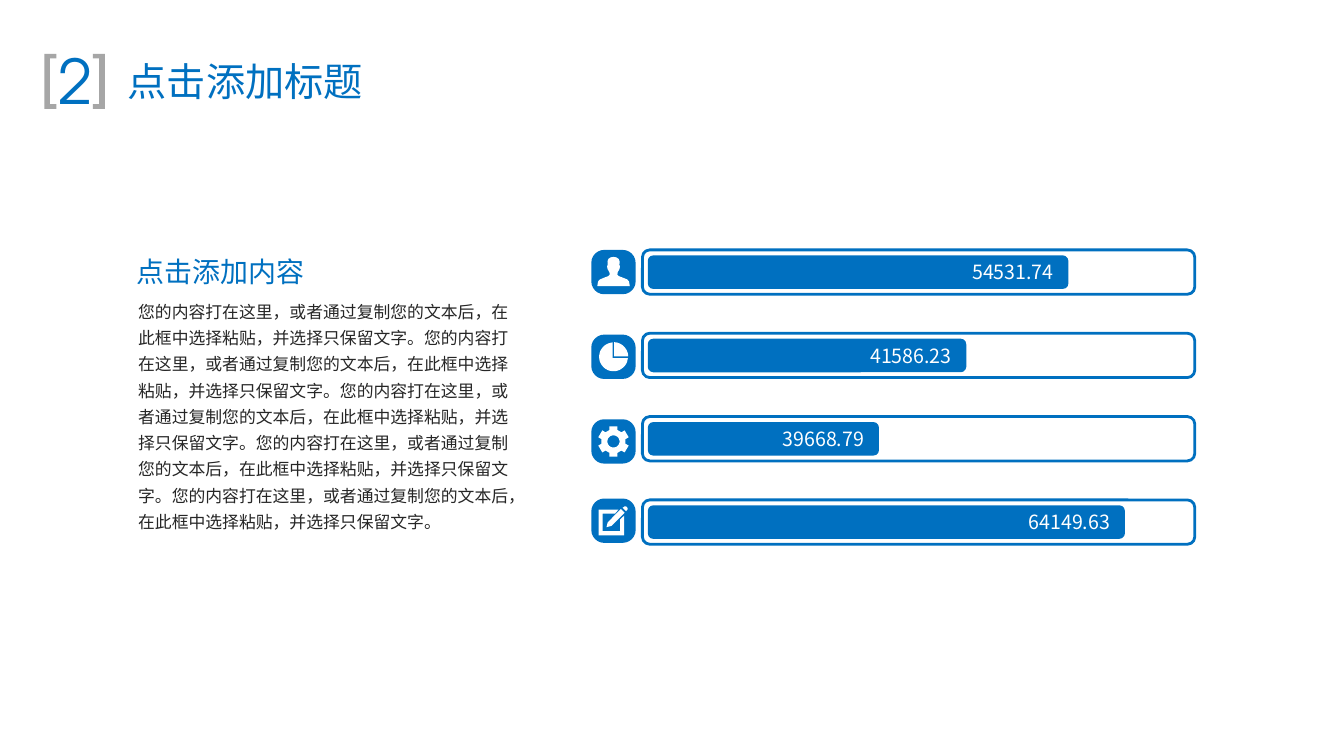
from math import cos, pi, sin

from lxml import etree
from pptx import Presentation, util as u
from pptx.dml.color import RGBColor
from pptx.enum import shapes, text
from pptx.oxml.ns import qn

SLIDE_WIDTH = 10
SLIDE_HEIGHT = SLIDE_WIDTH * 9 / 16
COLORS = {"blue": "0070C0", "gray": "A6A6A6", "white": "FFFFFF", "ink": "262626"}
SANS, DISPLAY = "Noto Sans CJK SC", "TeX Gyre Adventor"
SENTENCE = "您的内容打在这里，或者通过复制您的文本后，在此框中选择粘贴，并选择只保留文字。"

# left, top, width, height, words, look
TEXTS = [
    (0.84, 0.38, 1.97, 0.45, "点击添加标题",
     dict(size=21, color="blue", font=DISPLAY, centered=True)),
    (0.33, 0.28, 0.47, 0.64, "2",
     dict(size=33, color="blue", font=DISPLAY, centered=True, insets=(0.04, 0.05))),
    (0.92, 1.77, 2.43, 0.38, "点击添加内容",
     dict(size=15, color="blue", spacing=1.5, insets=(0, 0))),
    (0.93, 2.15, 3.07, 1.87, SENTENCE * 5,
     dict(size=9, color="ink", spacing=1.3)),
]
# label, bar width, top of the icon tile, icon
BARS = [
    ("54531.74", 3.13, 1.86, "person"),
    ("41586.23", 2.37, 2.49, "pie"),
    ("39668.79", 1.72, 3.12, "gear"),
    ("64149.63", 3.55, 3.71, "pencil"),
]
BAR_TOP, BAR_PITCH = 1.86, 0.62
TRACK_LEFT, TRACK_WIDTH, TRACK_HEIGHT, TRACK_GAP = 4.78, 4.11, 0.33, 0.04
TILE_LEFT, TILE = 4.4, 0.33

# Outlines below are in thousandths of an inch
BRACKET = [(0, 0), (90, 0), (90, 35), (42, 35), (42, 375), (90, 375), (90, 410), (0, 410)]
PERSON_HALF = [(0, -113), (22, -109), (38, -98), (45, -80), (44, -52), (48, -42),
               (44, -22), (38, -12), (30, 4), (29, 20), (38, 30), (60, 38),
               (102, 55), (115, 70), (121, 105)]
PENCIL = [
    [(72, -98), (82, -107), (94, -107), (104, -96), (104, -84), (94, -71), (66, -98)],
    [(-43, 12), (-52, 48), (-14, 38), (83, -60), (55, -87)],
    [(50, -10), (50, 78), (-80, 78), (-80, -52), (10, -52), (36, -82),
     (-110, -82), (-110, 108), (80, 108), (80, -38)],
]


def arc(radius, start, end, steps=48):
    """Points on a circle about the origin, from start to end in degrees."""
    angles = [(start + (end - start) * i / steps) * pi / 180 for i in range(steps + 1)]
    return [(radius * cos(a), radius * sin(a)) for a in angles]


def gear():
    tooth = [(-30, -85), (-30, -113), (30, -113), (30, -85)]
    turns = [i * pi / 3 for i in range(6)]
    rim = [(x * cos(a) - y * sin(a), x * sin(a) + y * cos(a))
           for a in turns for x, y in tooth]
    return [rim, arc(45, 360, 0)]


def mirrored(points):
    return [(-x, y) for x, y in reversed(points)]


ICONS = {
    "person": [PERSON_HALF + mirrored(PERSON_HALF)],
    "pie": [[(5, -4)] + arc(109, -88, -2), [(-7, 10)] + arc(107, 5, 266)],
    "gear": gear(),
    "pencil": PENCIL,
}


def rgb(name):
    return RGBColor.from_string(COLORS[name])


def paint(shape, fill=None, line=None):
    shape.shadow.inherit = False
    if fill:
        shape.fill.solid()
        shape.fill.fore_color.rgb = rgb(fill)
    else:
        shape.fill.background()
    if line:
        shape.line.color.rgb = rgb(line)
        shape.line.width = u.Pt(1.5)
    else:
        shape.line.fill.background()


def write(frame, words, size, color, font=SANS, align=text.PP_ALIGN.LEFT, spacing=None):
    frame.text = words
    paragraph = frame.paragraphs[0]
    paragraph.alignment = align
    if spacing:
        paragraph.line_spacing = spacing
    run = paragraph.runs[0]
    run.font.size = u.Pt(size)
    run.font.name = font
    run.font.color.rgb = rgb(color)
    east_asian = etree.SubElement(run.font._element, qn("a:ea"))
    east_asian.set("typeface", SANS)


def add_text(slide, left, top, width, height, words, look):
    look = dict(look)
    centered = look.pop("centered", False)
    inset_top, inset_bottom = look.pop("insets", (0.05, 0.05))
    frame = slide.shapes.add_textbox(*map(u.Inches, (left, top, width, height))).text_frame
    frame.word_wrap = not centered
    frame.margin_top, frame.margin_bottom = u.Inches(inset_top), u.Inches(inset_bottom)
    if centered:
        frame.vertical_anchor = text.MSO_ANCHOR.MIDDLE
        look["align"] = text.PP_ALIGN.CENTER
    write(frame, words, **look)


def add_round(slide, left, top, width, height, fill=None, line=None, corner=0.167):
    shape = slide.shapes.add_shape(shapes.MSO_SHAPE.ROUNDED_RECTANGLE,
                                   *map(u.Inches, (left, top, width, height)))
    shape.adjustments[0] = corner
    paint(shape, fill, line)
    return shape


def add_outline(slide, x, y, contours, fill):
    """Draw closed contours, in mils, about the point x, y in inches."""
    placed = [[(x * 1000 + dx, y * 1000 + dy) for dx, dy in c] for c in contours]
    builder = slide.shapes.build_freeform(*placed[0][0], scale=914.4)
    for number, contour in enumerate(placed):
        if number:
            builder.move_to(*contour[0])
        builder.add_line_segments(contour[1:], close=True)
    paint(builder.convert_to_shape(), fill)


def add_bar(slide, row, label, width, tile_top, icon):
    add_round(slide, TILE_LEFT, tile_top, TILE, TILE, fill="blue", corner=0.29)
    add_outline(slide, TILE_LEFT + TILE / 2, tile_top + TILE / 2, ICONS[icon], "white")
    top = BAR_TOP + row * BAR_PITCH
    add_round(slide, TRACK_LEFT, top, TRACK_WIDTH, TRACK_HEIGHT, line="blue")
    bar = add_round(slide, TRACK_LEFT + TRACK_GAP, top + TRACK_GAP, width,
                    TRACK_HEIGHT - 2 * TRACK_GAP, fill="blue")
    bar.text_frame.vertical_anchor = text.MSO_ANCHOR.MIDDLE
    write(bar.text_frame, label, 10.5, "white", align=text.PP_ALIGN.RIGHT)


def main():
    presentation = Presentation()
    presentation.slide_width = u.Inches(SLIDE_WIDTH)
    presentation.slide_height = u.Inches(SLIDE_HEIGHT)
    slide = presentation.slides.add_slide(presentation.slide_layouts[6])
    for item in TEXTS:
        add_text(slide, *item)
    add_outline(slide, 0.33, 0.4, [BRACKET], "gray")
    add_outline(slide, 0.78, 0.4, [mirrored(BRACKET)], "gray")
    for row, bar in enumerate(BARS):
        add_bar(slide, row, *bar)
    presentation.save("out.pptx")


if __name__ == "__main__":
    main()
